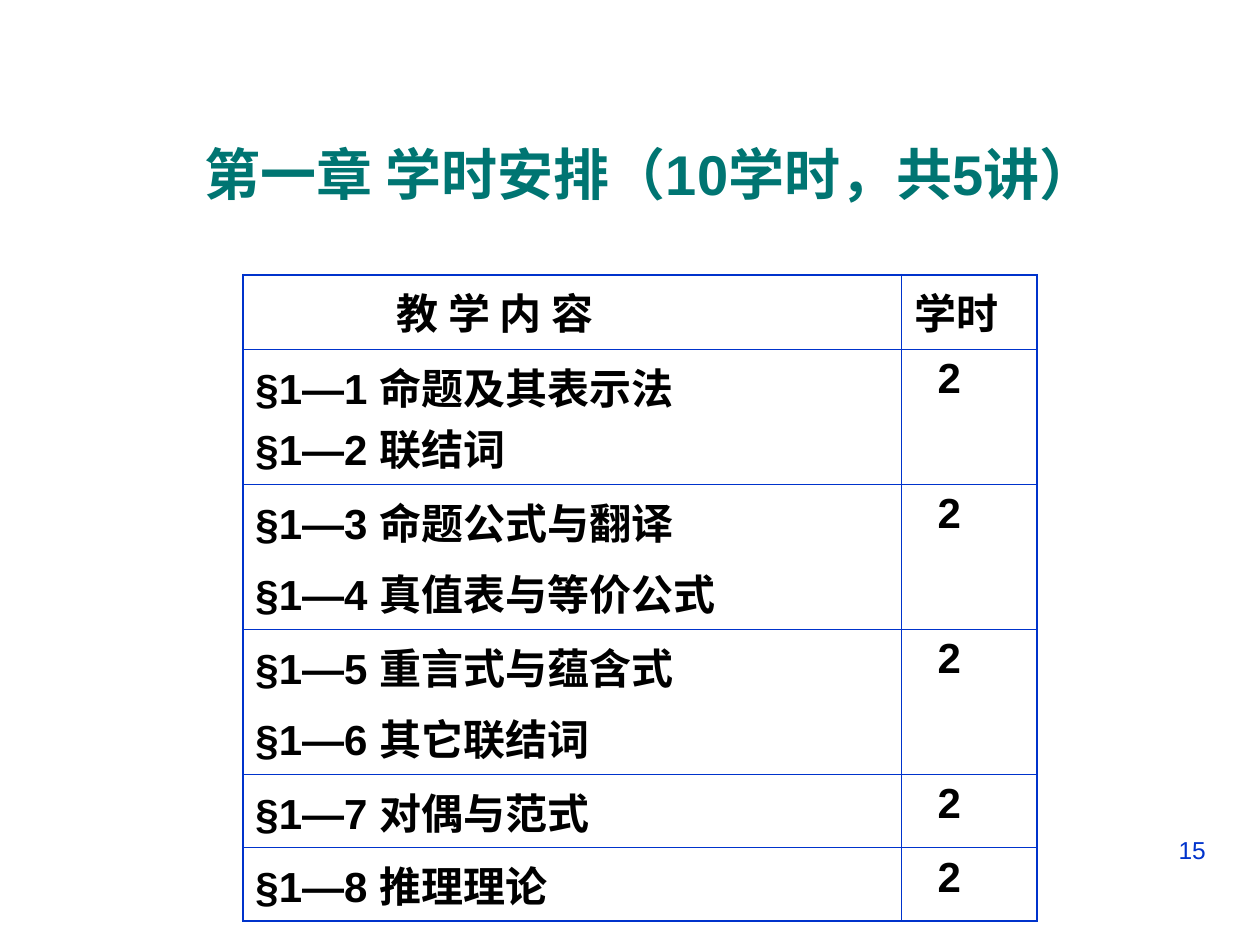
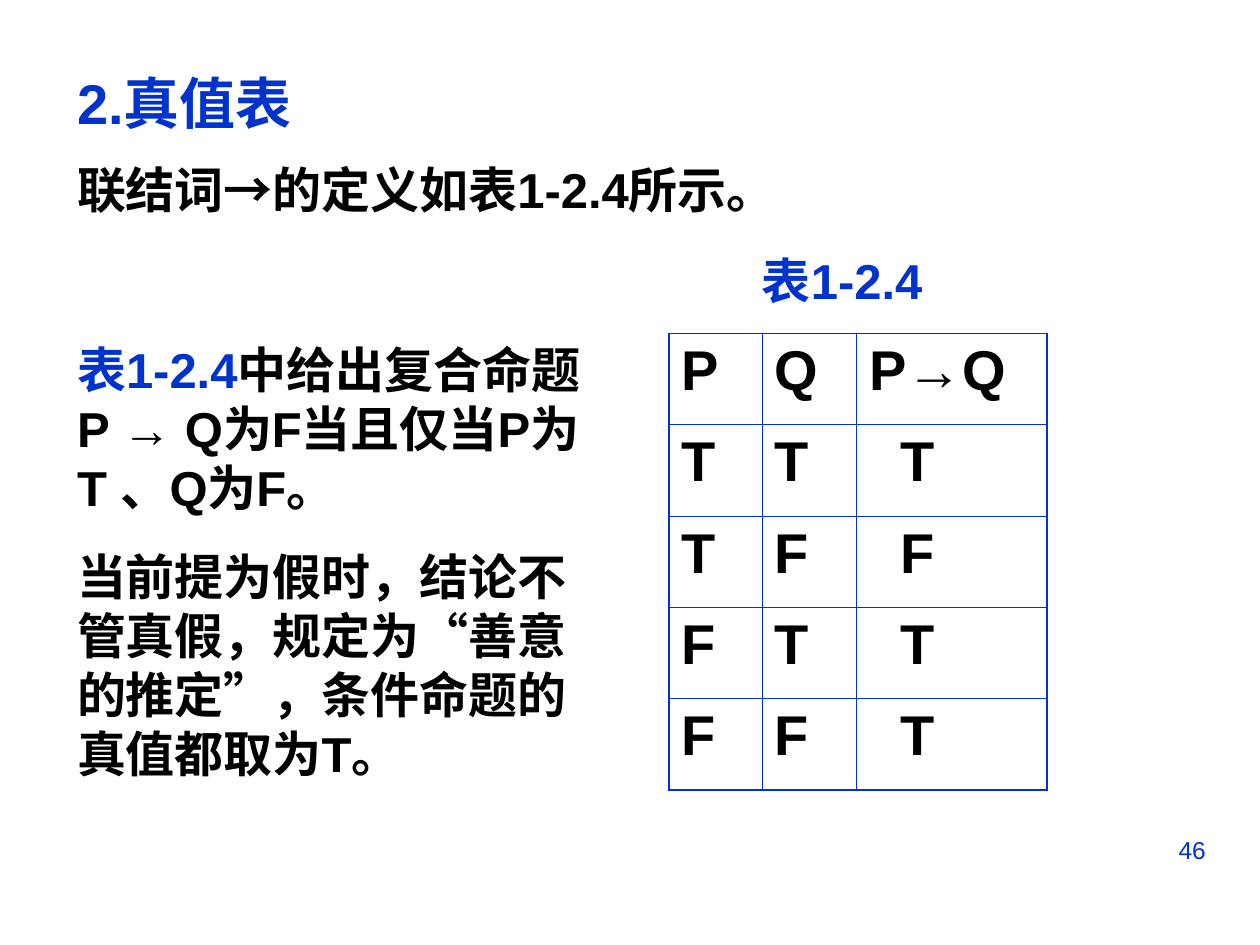
from lxml import etree
from pptx import Presentation
from pptx.dml.color import RGBColor
from pptx.enum.text import MSO_ANCHOR, MSO_AUTO_SIZE, PP_ALIGN
from pptx.oxml.ns import qn
from pptx.util import Cm, Pt

LEFT, RIGHT, CENTER = PP_ALIGN.LEFT, PP_ALIGN.RIGHT, PP_ALIGN.CENTER
TOP, MIDDLE = MSO_ANCHOR.TOP, MSO_ANCHOR.MIDDLE
FIXED = MSO_AUTO_SIZE.NONE

FONT = "Arial"
BLUE, TEAL, BLACK = "0033CC", "007572", "000000"
THICK, THIN = 1.08, 0.45
PAD = 0.25

PLAN_TITLE = "第一章 学时安排（10学时，共5讲）"
PLAN = {
    "left": 4.9, "top": 5.54, "size": 24, "gap": 6,
    "cols": [13.28, 2.72],
    "rows": [1.5, 2.72, 2.92, 2.92, 1.47, 1.47],
    "cells": [
        ("教 学 内 容", "学时"),
        ("§1—1 命题及其表示法\v§1—2 联结词", "2"),
        ("§1—3 命题公式与翻译\n§1—4 真值表与等价公式", "2"),
        ("§1—5 重言式与蕴含式\n§1—6 其它联结词", "2"),
        ("§1—7 对偶与范式", "2"),
        ("§1—8 推理理论", "2"),
    ],
    "head_pad": [3.1, PAD],
    "body_pad": [PAD, 0.72],
}

TRUTH_TITLE = [
    [("2.真值表", BLUE, 32)],
    [("联结词→的定义如表1-2.4所示。", BLACK, 28)],
]
TRUTH_NOTES = [
    [("表1-2.4", BLUE, 28),
     ("中给出复合命题P → Q为F当且仅当P为T 、Q为F。", BLACK, 28)],
    [("当前提为假时，结论不管真假，规定为“善意的推定”，条件命题的真值都取为T。", BLACK, 28)],
]
TRUTH = {
    "left": 13.49, "top": 6.72, "size": 32, "gap": 8,
    "cols": [1.88, 1.9, 3.83],
    "rows": [1.84] * 5,
    "cells": [("P", "Q", "P→Q"), ("T", "T", "T"), ("T", "F", "F"),
              ("F", "T", "T"), ("F", "F", "T")],
    "head_pad": [PAD] * 3,
    "body_pad": [PAD, PAD, 0.88],
}


def paint(font, color, size, bold=True):
    font.name = FONT
    font.size = Pt(size)
    font.bold = bold
    font.color.rgb = RGBColor.from_string(color)


def write(shape, box, paras, align=LEFT, anchor=TOP, gap=0, lines=1.0, bold=True):
    shape.left, shape.top, shape.width, shape.height = map(Cm, box)
    frame = shape.text_frame
    frame.word_wrap = True
    frame.auto_size = FIXED
    frame.vertical_anchor = anchor
    for i, runs in enumerate(paras):
        para = frame.add_paragraph() if i else frame.paragraphs[0]
        props = para._p.get_or_add_pPr()
        props.set("marL", "0")
        props.set("indent", "0")
        etree.SubElement(props, qn("a:buNone"))
        para.alignment = align
        para.line_spacing = lines
        para.space_before = Pt(gap if i else 0)
        for text, color, size in runs:
            run = para.add_run()
            run.text = text
            paint(run.font, color, size, bold)
    return frame


def add_box(slide, box, paras, **style):
    return write(slide.shapes.add_textbox(0, 0, 0, 0), box, paras, **style)


def add_page(slide, num):
    add_box(slide, (18.21, 16.71, 6.35, 1.32), [[(num, BLUE, 14)]],
            align=RIGHT, bold=False)


def edge(cell, outer):
    props = cell._tc.get_or_add_tcPr()
    for side in "LRTB":
        width = THICK if side in outer else THIN
        line = etree.SubElement(props, qn("a:ln" + side), w=str(Pt(width)))
        fill = etree.SubElement(line, qn("a:solidFill"))
        etree.SubElement(fill, qn("a:srgbClr"), val=BLUE)
    cell.fill.background()


def add_grid(slide, grid):
    cols, rows = grid["cols"], grid["rows"]
    frame = slide.shapes.add_table(
        len(rows), len(cols), Cm(grid["left"]), Cm(grid["top"]),
        Cm(sum(cols)), Cm(sum(rows)))
    table = frame.table
    table.first_row = table.horz_banding = False
    for col, width in zip(table.columns, cols):
        col.width = Cm(width)
    for r, (row, height) in enumerate(zip(table.rows, rows)):
        row.height = Cm(height)
        pads = grid["body_pad"] if r else grid["head_pad"]
        for c, cell in enumerate(row.cells):
            cell.text = grid["cells"][r][c]
            cell.margin_left = Cm(pads[c])
            for i, para in enumerate(cell.text_frame.paragraphs):
                para.space_before = Pt(grid["gap"] if i else 0)
                for run in para.runs:
                    paint(run.font, BLACK, grid["size"])
            ends = {"L": c == 0, "R": c == len(cols) - 1,
                    "T": r == 0, "B": r == len(rows) - 1}
            edge(cell, [side for side, on in ends.items() if on])


def plan_slide(deck):
    slide = deck.slides.add_slide(deck.slide_layouts[5])
    add_page(slide, "15")
    frame = write(slide.shapes.title, (0.84, 1.91, 23.72, 3.18),
                  [[(PLAN_TITLE, TEAL, 32)]], align=CENTER, anchor=MIDDLE)
    frame.margin_left = Cm(1.07)
    add_grid(slide, PLAN)


def truth_slide(deck):
    slide = deck.slides.add_slide(deck.slide_layouts[1])
    add_page(slide, "46")
    add_grid(slide, TRUTH)
    write(slide.shapes.title, (1.3, 0.71, 19, 3.81), TRUTH_TITLE, lines=1.4)
    add_box(slide, (15.11, 4.93, 7.01, 3.25), [[("表1-2.4", BLUE, 28)]])
    write(slide.placeholders[1], (1.3, 6.72, 11, 9.17), TRUTH_NOTES, gap=17.5)


def main():
    deck = Presentation()
    deck.slide_width, deck.slide_height = Cm(25.4), Cm(19.05)
    plan_slide(deck)
    truth_slide(deck)
    deck.save("out.pptx")


if __name__ == "__main__":
    main()
